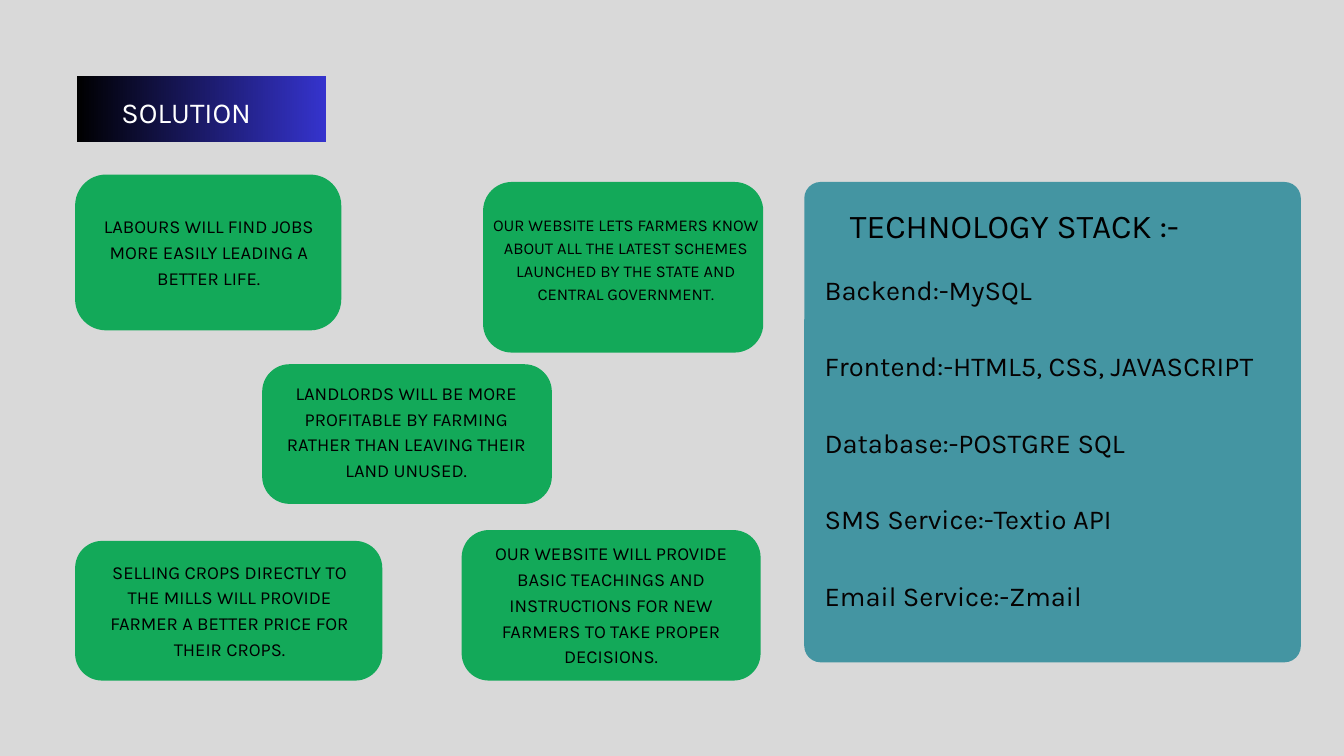
from typing import NamedTuple

from pptx import Presentation
from pptx.dml.color import RGBColor
from pptx.enum import shapes, text
from pptx.util import Cm, Pt

FONT = "Karla"
LINE_RATIO = 1.4
BACKGROUND = RGBColor(0xD9, 0xD9, 0xD9)
GREEN = RGBColor(0x13, 0xA9, 0x59)
TEAL = RGBColor(0x44, 0x95, 0xA2)
BLUE = RGBColor(0x35, 0x33, 0xCD)
BLACK = RGBColor(0x00, 0x00, 0x00)
NEAR_BLACK = RGBColor(0x05, 0x02, 0x02)
WHITE = RGBColor(0xFF, 0xFF, 0xFF)


class Area(NamedTuple):
    """Left, top, width and height in centimetres."""
    left: float
    top: float
    width: float
    height: float

    def lengths(self) -> list:
        return [Cm(value) for value in self]


class Benefit(NamedTuple):
    wording: str
    card: Area
    radius: float
    wording_area: Area
    size: float = 19.7


BENEFITS = [
    Benefit("SELLING CROPS DIRECTLY TO THE MILLS WILL PROVIDE FARMER A BETTER "
            "PRICE FOR THEIR CROPS.",
            Area(2.84, 20.45, 11.61, 5.28), 1.02, Area(3.61, 21.06, 10.13, 3.84)),
    Benefit("OUR WEBSITE WILL PROVIDE BASIC TEACHINGS AND INSTRUCTIONS FOR NEW "
            "FARMERS TO TAKE PROPER DECISIONS.",
            Area(17.45, 20.04, 11.3, 5.69), 1.03, Area(18.03, 20.37, 10.13, 4.78)),
    Benefit("LABOURS WILL FIND JOBS MORE EASILY LEADING A BETTER LIFE.",
            Area(2.84, 6.6, 10.06, 5.89), 1.17, Area(3.66, 8, 8.46, 2.87)),
    Benefit("OUR WEBSITE LETS FARMERS KNOW ABOUT ALL THE LATEST SCHEMES "
            "LAUNCHED BY THE STATE AND CENTRAL GOVERNMENT.",
            Area(18.26, 6.88, 10.59, 6.45), 1.09, Area(18.59, 8, 10.13, 4.37), 17.7),
    Benefit("LANDLORDS WILL BE MORE PROFITABLE BY FARMING RATHER THAN LEAVING "
            "THEIR LAND UNUSED.",
            Area(9.91, 13.77, 10.95, 5.28), 1.04, Area(10.29, 14.3, 10.13, 3.84)),
]

STACK = [
    "Backend:-MySQL",
    "Frontend:-HTML5, CSS, JAVASCRIPT",
    "Database:-POSTGRE SQL",
    "SMS Service:-Textio API",
    "Email Service:-Zmail",
]


def add_card(slide, area: Area, radius: float, color: RGBColor) -> None:
    card = slide.shapes.add_shape(shapes.MSO_SHAPE.ROUNDED_RECTANGLE, *area.lengths())
    card.adjustments[0] = radius / min(area.width, area.height)
    card.shadow.inherit = False
    card.fill.solid()
    card.fill.fore_color.rgb = color
    card.line.fill.background()


def add_banner(slide, area: Area) -> None:
    banner = slide.shapes.add_shape(shapes.MSO_SHAPE.RECTANGLE, *area.lengths())
    banner.shadow.inherit = False
    banner.line.fill.background()
    banner.fill.gradient()
    banner.fill.gradient_angle = 0
    for stop, color in zip(banner.fill.gradient_stops, (BLACK, BLUE)):
        stop.color.rgb = color


def add_text(slide, area: Area, *lines: str, size: float, color: RGBColor = BLACK,
             align=text.PP_ALIGN.CENTER, anchor=text.MSO_ANCHOR.TOP,
             gap: float = 0, inset: float = 0) -> None:
    """Write one paragraph per line, with gap points between paragraphs."""
    frame = slide.shapes.add_textbox(*area.lengths()).text_frame
    frame.word_wrap = True
    frame.vertical_anchor = anchor
    frame.margin_left = frame.margin_right = Cm(inset)
    frame.margin_top = frame.margin_bottom = Cm(inset)
    for index, line in enumerate(lines):
        paragraph = frame.add_paragraph() if index else frame.paragraphs[0]
        paragraph.alignment = align
        paragraph.line_spacing = Pt(round(size * LINE_RATIO, 1))
        if index:
            paragraph.space_before = Pt(gap)
        run = paragraph.add_run()
        run.text = line
        run.font.name = FONT
        run.font.size = Pt(size)
        run.font.color.rgb = color


def main() -> None:
    deck = Presentation()
    deck.slide_width, deck.slide_height = Cm(50.8), Cm(28.58)
    slide = deck.slides.add_slide(deck.slide_layouts[6])
    slide.background.fill.solid()
    slide.background.fill.fore_color.rgb = BACKGROUND

    for benefit in BENEFITS:
        add_card(slide, benefit.card, benefit.radius, GREEN)
        add_text(slide, benefit.wording_area, benefit.wording, size=benefit.size)

    add_card(slide, Area(30.4, 6.88, 18.77, 18.16), 0.62, TEAL)
    add_text(slide, Area(31.17, 10.11, 17.3, 14.3), *STACK, size=29.3,
             color=NEAR_BLACK, align=text.PP_ALIGN.LEFT, gap=41)
    add_text(slide, Area(31.17, 7.49, 14.35, 1.75), "TECHNOLOGY STACK :-", size=35.7)

    add_banner(slide, Area(2.9, 2.87, 9.42, 2.49))
    add_text(slide, Area(2.9, 2.82, 8.28, 2.59), "SOLUTION", size=31, color=WHITE,
             anchor=text.MSO_ANCHOR.MIDDLE, inset=0.15)

    deck.save("out.pptx")


if __name__ == "__main__":
    main()
